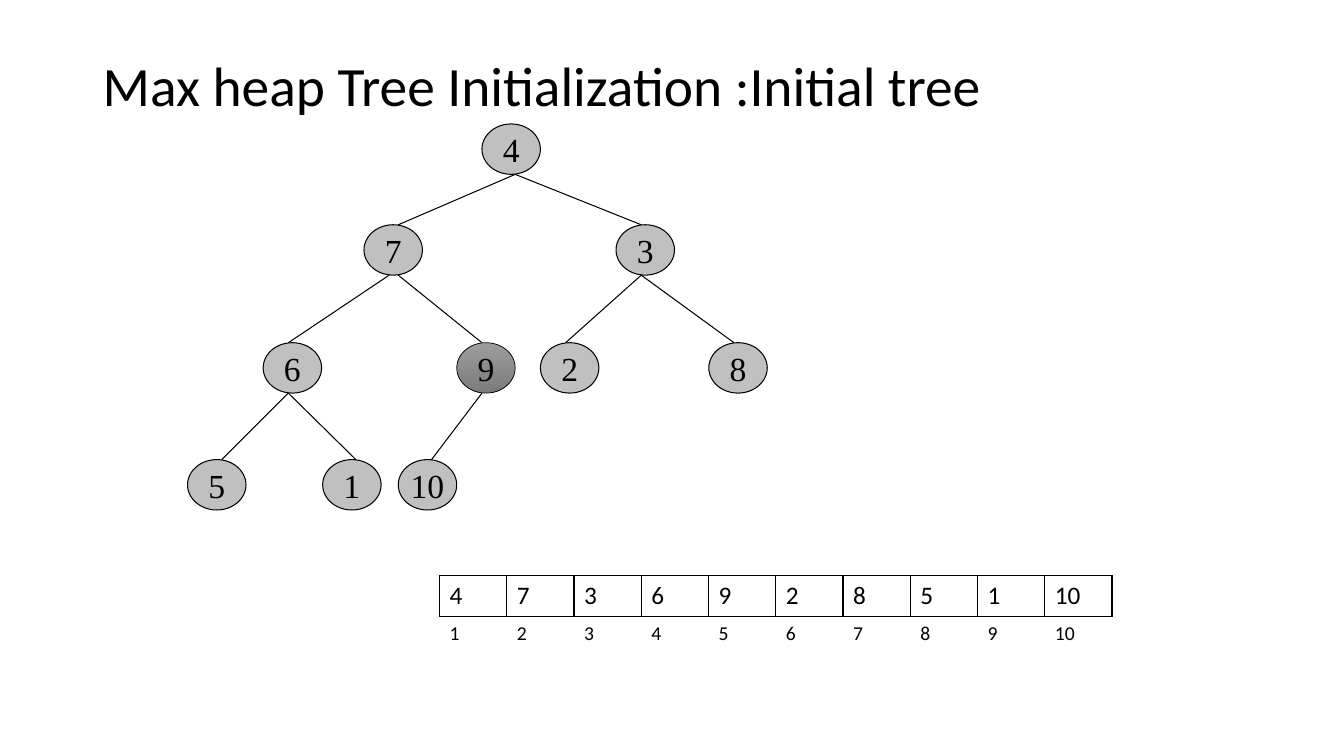
from lxml import etree
from pptx import Presentation
from pptx.dml.color import RGBColor
from pptx.enum.shapes import MSO_CONNECTOR, MSO_SHAPE
from pptx.enum.text import MSO_ANCHOR, PP_ALIGN
from pptx.oxml.ns import qn
from pptx.util import Inches, Pt

BLACK = RGBColor(0x00, 0x00, 0x00)
SILVER = RGBColor(0xC0, 0xC0, 0xC0)
GRADIENT = [RGBColor(0x9D, 0x9D, 0x9D), RGBColor(0x7C, 0x7C, 0x7C)]

HEAP = [4, 7, 3, 6, 9, 2, 8, 5, 1, 10]
NODE_LEFT = [4.78, 3.61, 6.11, 2.61, 4.53, 5.36, 7.03, 1.86, 3.2, 3.95]
LEVEL_TOP = [1.23, 2.23, 3.4, 4.56]
NODE_W, NODE_H = 0.58, 0.5
# x at the parent and x at the child, for heap positions 2 to 10
EDGES = [(5.11, 3.95), (5.11, 6.36), (3.86, 2.86), (3.95, 4.78), (6.36, 5.61),
         (6.36, 7.28), (2.86, 2.2), (2.86, 3.53), (4.78, 4.28)]
HIGHLIGHTED = 9


def style_text(p, size, font):
    for r in p.runs:
        r.font.size = Pt(size)
        r.font.name = font
        r.font.color.rgb = BLACK


def add_row(s, values, top, height, size, bordered):
    """Add a one-row table, with black cell borders or none."""
    table = s.shapes.add_table(1, len(values), Inches(4.36), Inches(top),
                               Inches(6.67), Inches(height)).table
    table.first_row = False
    table.horz_banding = False
    for cell, value in zip(table.iter_cells(), values):
        cell.text = str(value)
        style_text(cell.text_frame.paragraphs[0], size, "Calibri")
        tcPr = cell._tc.get_or_add_tcPr()
        for side in ("a:lnL", "a:lnR", "a:lnT", "a:lnB"):
            ln = etree.SubElement(tcPr, qn(side), w=str(Pt(1)))
            if bordered:
                fill = etree.SubElement(ln, qn("a:solidFill"))
                etree.SubElement(fill, qn("a:srgbClr"), val=str(BLACK))
            else:
                etree.SubElement(ln, qn("a:noFill"))
        cell.fill.background()


prs = Presentation()
prs.slide_width = Inches(13.33)
prs.slide_height = Inches(7.5)
s = prs.slides.add_slide(prs.slide_layouts[6])

# Title
title = s.shapes.add_textbox(Inches(0.92), Inches(0.62), Inches(11.5), Inches(0.52))
tf = title.text_frame
tf.word_wrap = True
tf.vertical_anchor = MSO_ANCHOR.MIDDLE
p = tf.paragraphs[0]
p.text = "Max heap Tree Initialization :Initial tree"
p.line_spacing = 0.9
style_text(p, 39.6, "Calibri")

# Tree edges: the parent of position n is n // 2, its level is log2(n)
for position, (parent_x, child_x) in enumerate(EDGES, start=2):
    level = position.bit_length() - 1
    edge = s.shapes.add_connector(
        MSO_CONNECTOR.STRAIGHT,
        Inches(parent_x), Inches(LEVEL_TOP[level - 1] + NODE_H),
        Inches(child_x), Inches(LEVEL_TOP[level]))
    edge.line.color.rgb = BLACK
    edge.line.width = Pt(0.75)
    etree.SubElement(edge._element.spPr, qn("a:effectLst"))

# Tree nodes
for position, (key, left) in enumerate(zip(HEAP, NODE_LEFT), start=1):
    top = LEVEL_TOP[position.bit_length() - 1]
    node = s.shapes.add_shape(MSO_SHAPE.OVAL, Inches(left), Inches(top),
                              Inches(NODE_W), Inches(NODE_H))
    node.shadow.inherit = False
    node.line.color.rgb = BLACK
    if key == HIGHLIGHTED:
        node.fill.gradient()
        node.fill.gradient_angle = 270
        for stop, color in zip(node.fill.gradient_stops, GRADIENT):
            stop.color.rgb = color
        node.line.width = Pt(0.5)
    else:
        node.fill.solid()
        node.fill.fore_color.rgb = SILVER
        node.line.width = Pt(0.75)
    tf = node.text_frame
    tf.word_wrap = False
    tf.vertical_anchor = MSO_ANCHOR.MIDDLE
    p = tf.paragraphs[0]
    p.text = str(key)
    p.alignment = PP_ALIGN.CENTER
    style_text(p, 24, "Times New Roman")

# Array view of the heap, with the positions below
add_row(s, HEAP, 5.71, 0.41, 18, True)
add_row(s, range(1, len(HEAP) + 1), 6.12, 0.4, 14, False)

prs.save("out.pptx")
